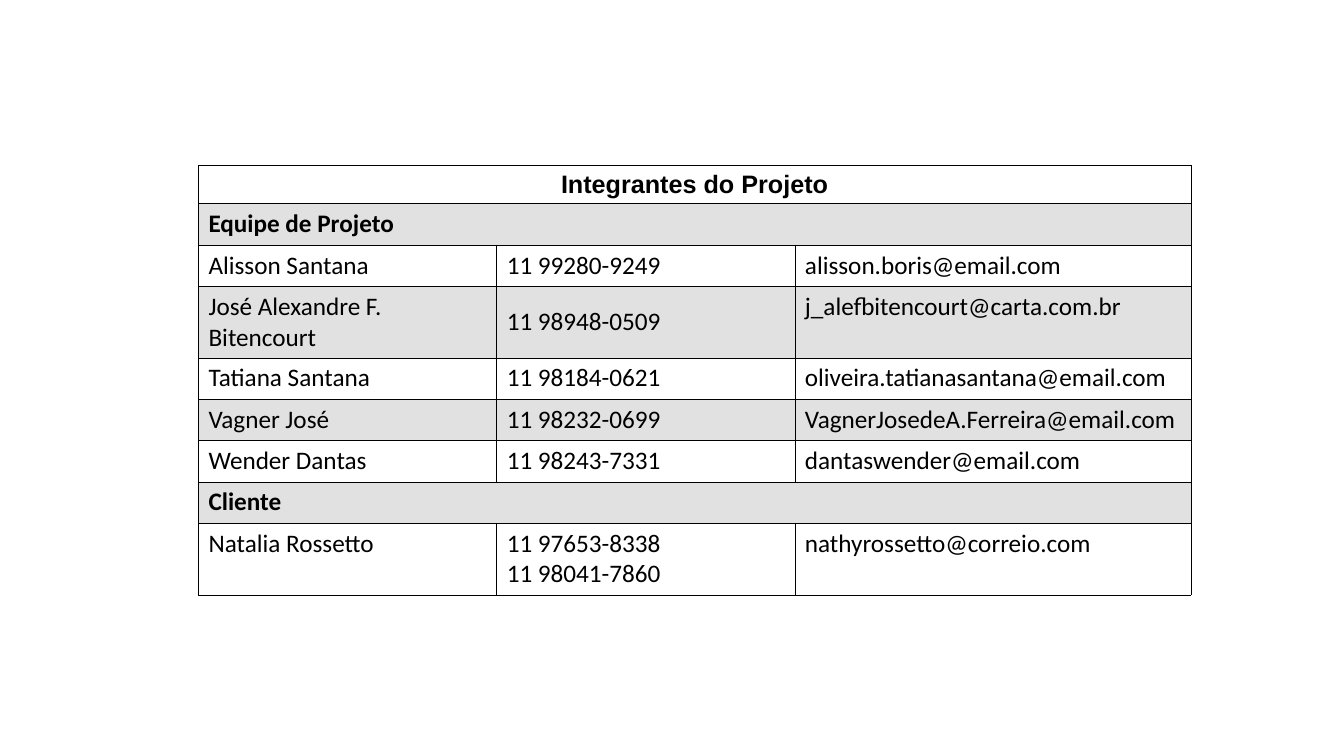
import pptx
import pptx.dml.color
import pptx.enum.text
import pptx.util
from lxml import etree
from pptx.oxml.ns import qn

Inches = pptx.util.Inches
Pt = pptx.util.Pt

BLACK = "000000"
GRAY = "E1E1E1"
COLUMN_WIDTHS = [2.96, 2.96, 3.93]
TITLE_HEIGHT = 0.38
LINE_HEIGHT = 0.41
TWO_LINE_HEIGHT = 0.71

# A row with one entry spans the whole table.
ROWS = [
    ["Integrantes do Projeto"],
    ["Equipe de Projeto"],
    ["Alisson Santana", "11 99280-9249", "alisson.boris@email.com"],
    ["José Alexandre F. Bitencourt", "11 98948-0509", "j_alefbitencourt@carta.com.br"],
    ["Tatiana Santana", "11 98184-0621", "oliveira.tatianasantana@email.com"],
    ["Vagner José", "11 98232-0699", "VagnerJosedeA.Ferreira@email.com"],
    ["Wender Dantas", "11 98243-7331", "dantaswender@email.com"],
    ["Cliente"],
    ["Natalia Rossetto", "11 97653-8338\n11 98041-7860", "nathyrossetto@correio.com"],
]
TWO_LINE_ROWS = (3, 8)


def color(value):
    return pptx.dml.color.RGBColor.from_string(value)


def add_borders(cell, sides):
    """Draw thin black lines on the given sides, in L, R, T, B order."""
    properties = cell._tc.get_or_add_tcPr()
    for side in sides:
        line = etree.SubElement(properties, qn(f"a:ln{side}"), w=str(Pt(0.45)))
        fill = etree.SubElement(line, qn("a:solidFill"))
        etree.SubElement(fill, qn("a:srgbClr"), val=BLACK)


deck = pptx.Presentation()
deck.slide_width = Inches(13.34)
deck.slide_height = Inches(7.5)
page = deck.slides.add_slide(deck.slide_layouts[6])

heights = [TWO_LINE_HEIGHT if index in TWO_LINE_ROWS else LINE_HEIGHT
           for index in range(len(ROWS))]
heights[0] = TITLE_HEIGHT
frame = page.shapes.add_table(
    len(ROWS), len(COLUMN_WIDTHS), Inches(1.97), Inches(1.64),
    Inches(sum(COLUMN_WIDTHS)), Inches(sum(heights)))
table = frame.table
table.first_row = False
table.horz_banding = False
for column, width in zip(table.columns, COLUMN_WIDTHS):
    column.width = Inches(width)

for row_index, entries in enumerate(ROWS):
    table.rows[row_index].height = Inches(heights[row_index])
    is_heading = len(entries) == 1
    if is_heading:
        table.cell(row_index, 0).merge(table.cell(row_index, len(COLUMN_WIDTHS) - 1))

    for column_index in range(len(COLUMN_WIDTHS)):
        cell = table.cell(row_index, column_index)
        add_borders(cell, "TB" if cell.is_spanned else "LRTB")
        if row_index % 2:
            cell.fill.solid()
            cell.fill.fore_color.rgb = color(GRAY)
        else:
            cell.fill.background()
        if cell.is_spanned:
            continue

        cell.margin_left = cell.margin_right = Inches(0.1)
        cell.margin_top = cell.margin_bottom = Inches(0.05)
        for line_index, text in enumerate(entries[column_index].split("\n")):
            text_frame = cell.text_frame
            para = text_frame.add_paragraph() if line_index else text_frame.paragraphs[0]
            if row_index == 0:
                para.alignment = pptx.enum.text.PP_ALIGN.CENTER
            span = para.add_run()
            span.text = text
            span.font.name = "Calibri" if row_index else "Arial"
            span.font.size = Pt(18)
            span.font.bold = is_heading
            span.font.color.rgb = color(BLACK)

table.cell(3, 1).vertical_anchor = pptx.enum.text.MSO_ANCHOR.MIDDLE

deck.save("out.pptx")
